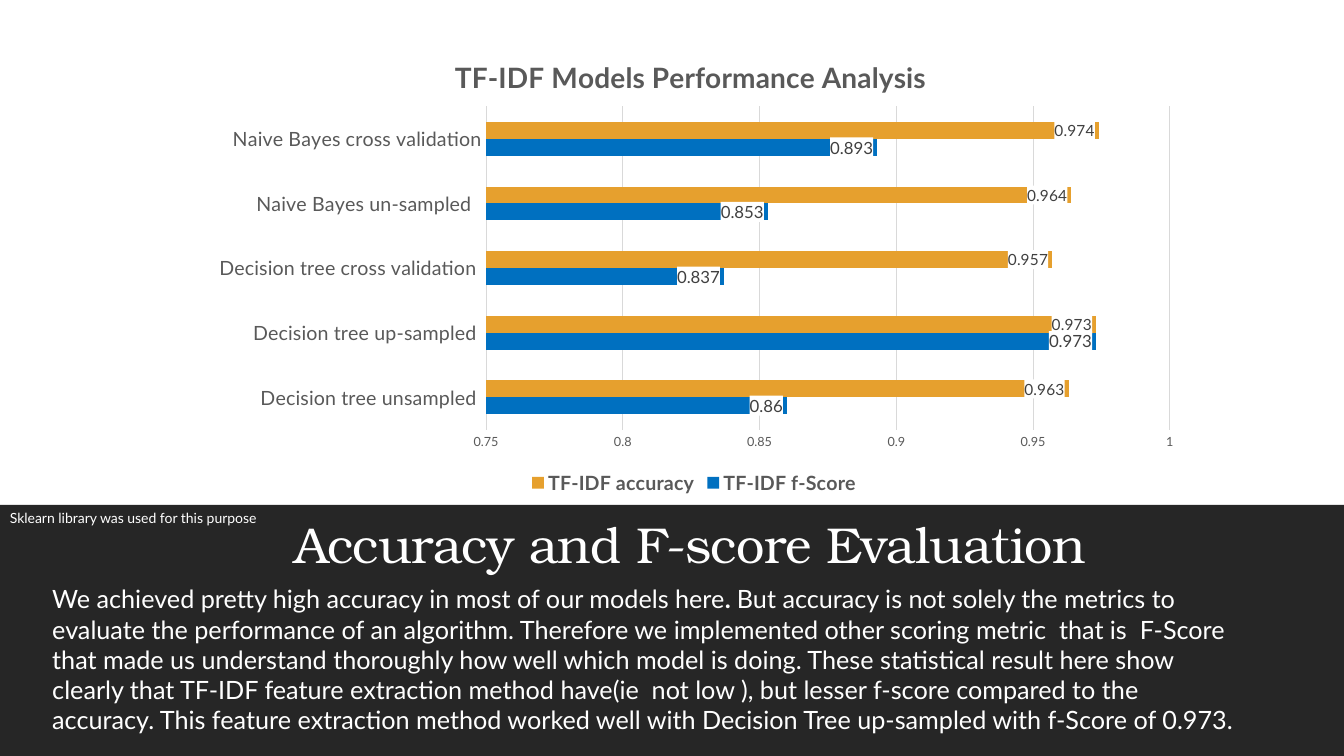
from lxml import etree
from pptx import Presentation
from pptx import util as u
from pptx.chart.data import CategoryChartData
from pptx.dml.color import RGBColor
from pptx.enum import chart as ch, shapes, text
from pptx.oxml import parse_xml
from pptx.oxml.ns import nsdecls, qn

SANS, SERIF = "Lato", "TeX Gyre Bonum"
WHITE, GREY, RULE = "FFFFFF", "595959", "D9D9D9"


def color(fmt, code):
    """Give a fill a solid colour, or a font its colour."""
    if hasattr(fmt, "solid"):
        fmt.solid()
        fmt = fmt.fore_color
    else:
        fmt = fmt.color
    fmt.rgb = RGBColor.from_string(code)


def style(font, size, code, bold=False, name=SANS):
    for key, val in {"size": u.Pt(size), "bold": bold, "name": name}.items():
        setattr(font, key, val)
    color(font, code)


deck = Presentation()
deck.slide_width, deck.slide_height = u.Inches(13.33), u.Inches(7.5)
slide = deck.slides.add_slide(deck.slide_layouts[6])

# Dark band
band = slide.shapes.add_shape(
    shapes.MSO_SHAPE.RECTANGLE,
    u.Inches(0), u.Inches(5.01), u.Inches(13.33), u.Inches(2.49))
band.shadow.inherit = False
color(band.fill, "262626")
band.line.fill.background()

# Texts: box, vertical inset, anchor, line spacing, size, font, runs
top, low = text.MSO_ANCHOR.TOP, text.MSO_ANCHOR.BOTTOM
story = (
    "But accuracy is not solely the metrics to evaluate the performance of an "
    "algorithm. Therefore we implemented other scoring metric  that is  F-Score "
    "that made us understand thoroughly how well which model is doing. These "
    "statistical result here show clearly that TF-IDF feature extraction method "
    "have(ie  not low ), but lesser f-score compared to the  accuracy. This "
    "feature extraction method worked well with Decision Tree up-sampled with "
    "f-Score of 0.973.")
texts = [
    ((2.82, 4.89, 11.06, 0.81), 0, low, 0.9, 36, SERIF,
     [("Accuracy and F-score Evaluation", False)]),
    ((0, 5.04, 11.06, 0.67), 0, top, 1.1, 10, SANS,
     [("Sklearn library was used for this purpose", False)]),
    ((0.42, 5.74, 12.03, 1.62), 0.05, top, 1.0, 18, SANS,
     [("We achieved pretty high accuracy in most of our models here", False),
      (". ", True), (story, False)]),
]
for box, inset, anchor, space, size, face, runs in texts:
    frame = slide.shapes.add_textbox(*map(u.Inches, box)).text_frame
    for key, val in {"word_wrap": True, "vertical_anchor": anchor,
                     "margin_top": u.Inches(inset),
                     "margin_bottom": u.Inches(inset)}.items():
        setattr(frame, key, val)
    para = frame.paragraphs[0]
    para.line_spacing = space
    for words, bold in runs:
        run = para.add_run()
        run.text = words
        style(run.font, size, WHITE, bold, face)
        if face == SERIF:
            run.font._element.set("spc", "-50")

# Chart data
data = CategoryChartData()
data.categories = [
    "Decision tree unsampled ", "Decision tree up-sampled ",
    "Decision tree cross validation ", "Naive Bayes un-sampled  ",
    "Naive Bayes cross validation"]
data.add_series("TF-IDF f-Score", [0.86, 0.973, 0.837, 0.853, 0.893])
data.add_series("TF-IDF accuracy", [0.963, 0.973, 0.957, 0.964, 0.974])
chart = slide.shapes.add_chart(
    ch.XL_CHART_TYPE.BAR_CLUSTERED, u.Inches(1.97), u.Inches(0.37),
    u.Inches(9.83), u.Inches(4.58), data).chart
style(chart.font, 10, "000000")

# Title and legend
chart.has_title = True
head = chart.chart_title.text_frame
head.text = "TF-IDF Models Performance Analysis "
style(head.paragraphs[0].runs[0].font, 20, GREY, True)
chart.has_legend = True
chart.legend.position = ch.XL_LEGEND_POSITION.BOTTOM
chart.legend.include_in_layout = False
style(chart.legend.font, 14, GREY, True)

# Axes
cats, vals = chart.category_axis, chart.value_axis
for axis, size in ((cats, 14), (vals, 9)):
    axis.major_tick_mark = axis.minor_tick_mark = ch.XL_TICK_MARK.NONE
    style(axis.tick_labels.font, size, GREY)
for key, val in {"minimum_scale": 0.75, "maximum_scale": 1,
                 "major_unit": 0.05, "has_major_gridlines": True}.items():
    setattr(vals, key, val)
vals.format.line.fill.background()
for line in (cats.format.line, vals.major_gridlines.format.line):
    color(line.fill, RULE)
    line.width = u.Pt(0.75)

# Bars and their white-backed labels
plot = chart.plots[0]
plot.gap_width, plot.overlap, plot.vary_by_categories = 182, 0, False
for bars, code, size in zip(plot.series, ("0070C0", "E6A02E"), (12, 11)):
    color(bars.format.fill, code)
    tags = bars.data_labels
    tags.show_value = True
    tags.position = ch.XL_LABEL_POSITION.INSIDE_END
    style(tags.font, size, "404040")
    back = parse_xml(
        f'<c:spPr {nsdecls("c", "a")}><a:solidFill>'
        f'<a:srgbClr val="{WHITE}"/></a:solidFill></c:spPr>')
    tags._element.find(qn("c:txPr")).addprevious(back)

# Place of the plot area within the chart
area = chart._chartSpace.find(".//" + qn("c:plotArea"))
for old in area.findall(qn("c:layout")):
    area.remove(old)
layout = etree.Element(qn("c:layout"))
area.insert(0, layout)
manual = etree.SubElement(layout, qn("c:manualLayout"))
for tag, val in {"layoutTarget": "inner", "xMode": "edge", "yMode": "edge",
                 "x": 0.29, "y": 0.15, "w": 0.69, "h": 0.7}.items():
    etree.SubElement(manual, qn("c:" + tag)).set("val", str(val))

deck.save("out.pptx")
